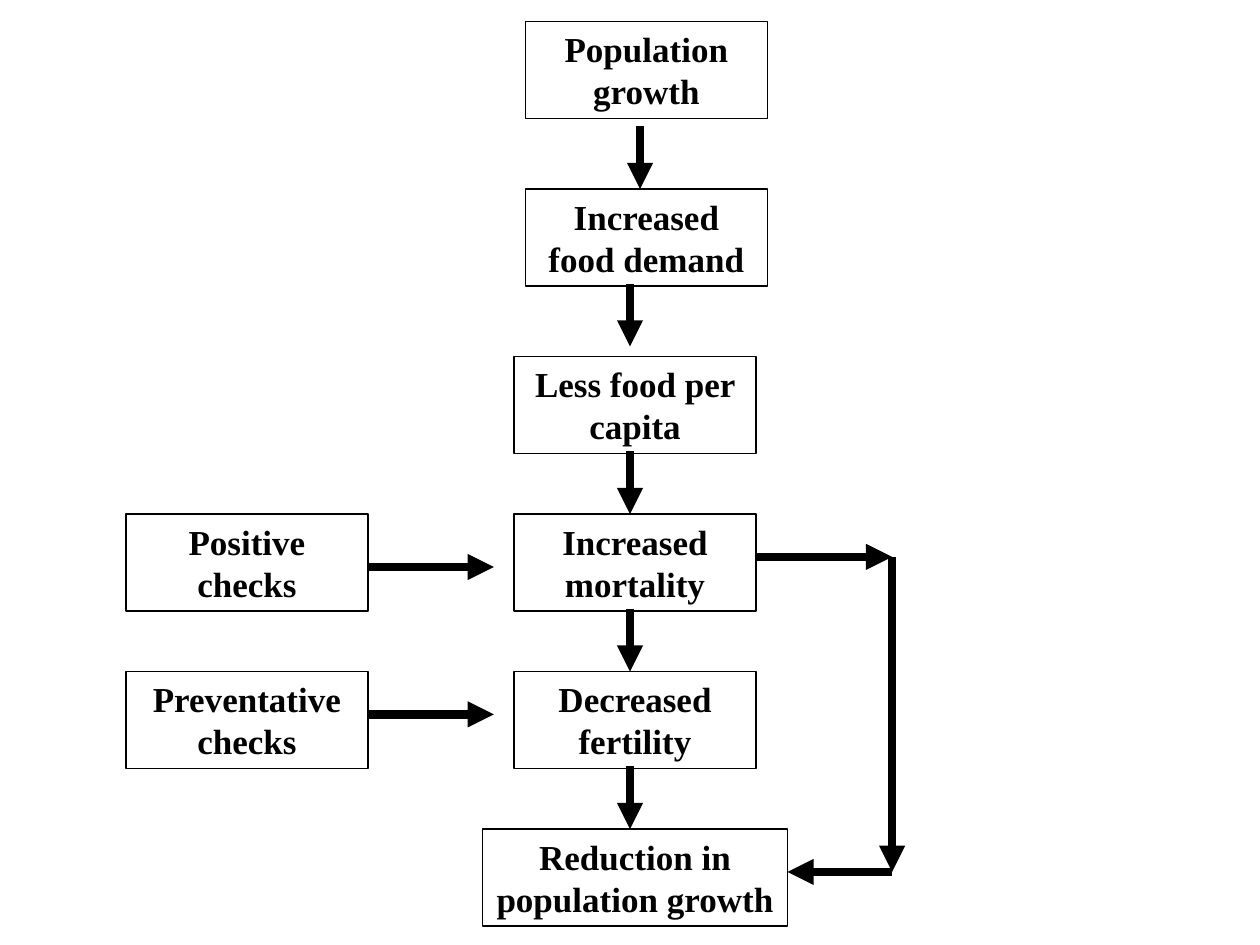
from lxml.etree import SubElement
from pptx import Presentation
from pptx.dml.color import RGBColor
from pptx.enum.shapes import MSO_CONNECTOR, MSO_SHAPE
from pptx.enum.text import MSO_ANCHOR, MSO_AUTO_SIZE, PP_ALIGN
from pptx.oxml.ns import qn
from pptx.util import Inches, Pt

BLACK = RGBColor(0, 0, 0)
STEP_WIDTH, RESULT_WIDTH, STEP_HEIGHT = 1.92, 2.42, 0.77
FRAME_FORMAT = {
    "word_wrap": True,
    "auto_size": MSO_AUTO_SIZE.SHAPE_TO_FIT_TEXT,
    "vertical_anchor": MSO_ANCHOR.TOP,
}
FONT_FORMAT = {"name": "Times New Roman", "size": Pt(20), "bold": True}

presentation = Presentation()
presentation.slide_width = Inches(10)
presentation.slide_height = Inches(7.5)
slide = presentation.slides.add_slide(presentation.slide_layouts[6])

# Each step: wording, left, top, width
steps = [
    ("Population growth", 4.17, 0.17, STEP_WIDTH),
    ("Increased food demand", 4.17, 1.5, STEP_WIDTH),
    ("Less food per capita", 4.08, 2.83, STEP_WIDTH),
    ("Increased mortality", 4.08, 4.08, STEP_WIDTH),
    ("Decreased fertility", 4.08, 5.33, STEP_WIDTH),
    ("Reduction in population growth", 3.83, 6.58, RESULT_WIDTH),
    ("Positive checks", 1, 4.08, STEP_WIDTH),
    ("Preventative checks", 1, 5.33, STEP_WIDTH),
]
for wording, left, top, width in steps:
    step = slide.shapes.add_shape(
        MSO_SHAPE.RECTANGLE,
        Inches(left), Inches(top), Inches(width), Inches(STEP_HEIGHT),
    )
    step.shadow.inherit = False
    step.fill.background()
    step.line.color.rgb = BLACK
    step.line.width = Pt(0.75)
    frame = step.text_frame
    for attribute, value in FRAME_FORMAT.items():
        setattr(frame, attribute, value)
    paragraph = frame.paragraphs[0]
    paragraph.text = wording
    paragraph.alignment = PP_ALIGN.CENTER
    for attribute, value in FONT_FORMAT.items():
        setattr(paragraph.font, attribute, value)
    paragraph.font.color.rgb = BLACK

# Each arrow: start x, start y, end x, end y
down_arrows = [
    (x, y, x, y + 0.5)
    for x, y in [(5.08, 1), (5, 2.25), (5, 3.58), (5, 4.83), (5, 6.08)]
]
check_arrows = [(2.92, y, 3.92, y) for y in (4.5, 5.67)]
bypass_arrows = [
    (6, 4.42, 7.08, 4.42),
    (7.08, 4.42, 7.08, 6.92),
    (7.08, 6.92, 6.25, 6.92),
]
for ends in down_arrows + check_arrows + bypass_arrows:
    arrow = slide.shapes.add_connector(
        MSO_CONNECTOR.STRAIGHT, *[Inches(end) for end in ends]
    )
    arrow.line.color.rgb = BLACK
    arrow.line.width = Pt(5)
    SubElement(arrow.line._get_or_add_ln(), qn("a:tailEnd"), type="triangle")
    SubElement(arrow._element.spPr, qn("a:effectLst"))

presentation.save("out.pptx")
